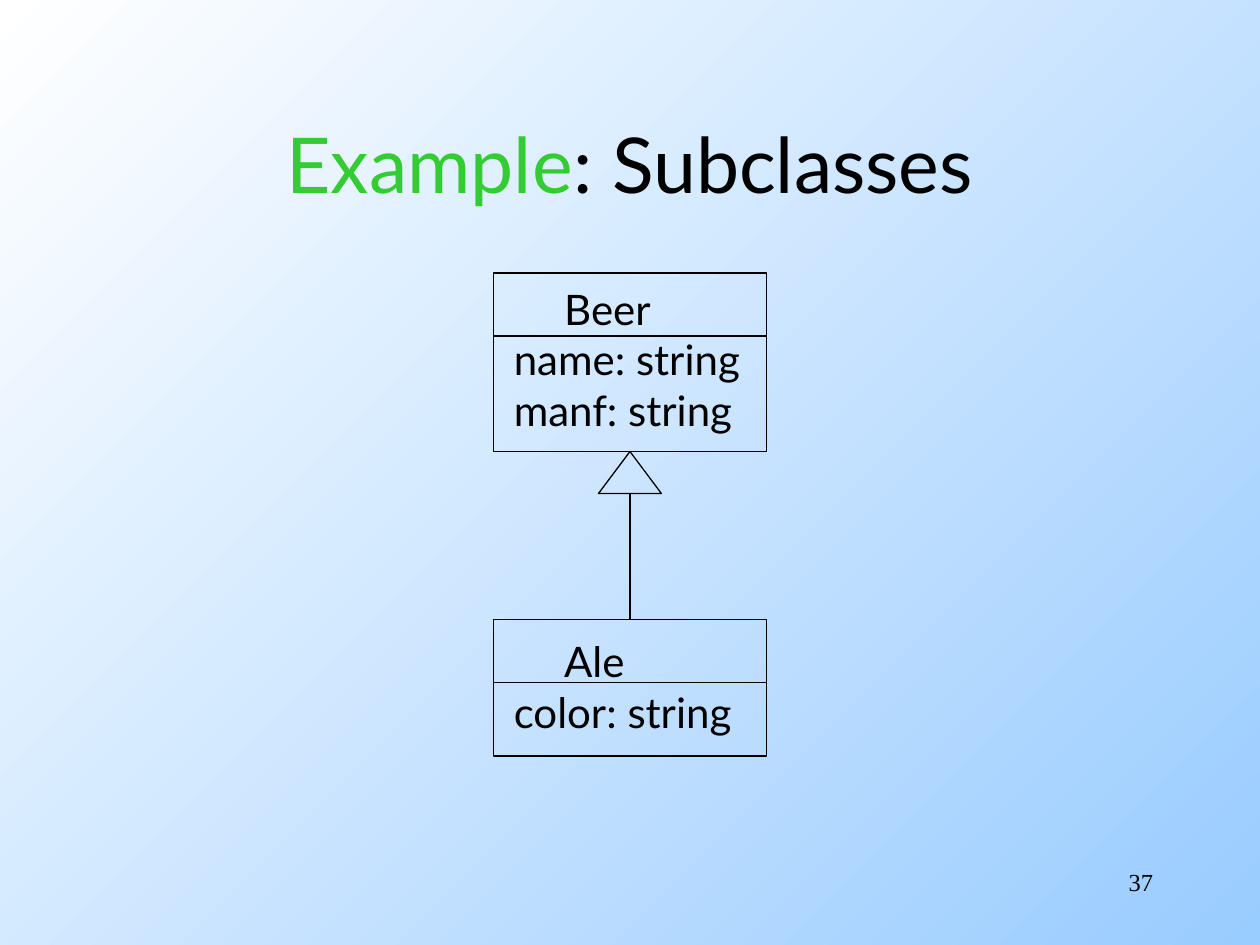
from pptx import Presentation
from pptx.dml.color import RGBColor
from pptx.enum.shapes import MSO_CONNECTOR, MSO_SHAPE
from pptx.enum.text import MSO_ANCHOR, PP_ALIGN
from pptx.oxml.ns import qn
from pptx.util import Inches, Pt
from lxml import etree

LEFT, CENTER, RIGHT = PP_ALIGN.LEFT, PP_ALIGN.CENTER, PP_ALIGN.RIGHT
TOP, MIDDLE = MSO_ANCHOR.TOP, MSO_ANCHOR.MIDDLE
RECTANGLE, TRIANGLE = MSO_SHAPE.RECTANGLE, MSO_SHAPE.ISOSCELES_TRIANGLE
STRAIGHT = MSO_CONNECTOR.STRAIGHT
BLACK, GREEN, WHITE, SKY = "000000", "33CC33", "FFFFFF", "99CCFF"


def color(value):
    return RGBColor.from_string(value)


def grid(*cells):
    return [Inches(cell / 12) for cell in cells]


def add_text(para, text, font="Lato", size=24, ink=BLACK, align=LEFT, indent=0, before=0):
    para.alignment = align
    para.space_before = Pt(before)
    para._p.get_or_add_pPr().set("marL", str(Inches(indent)))
    span = para.add_run()
    span.text = text
    span.font.name, span.font.size = font, Pt(size)
    span.font.color.rgb = color(ink)


class ClassDiagram:
    """Draws a class diagram on one slide, in a grid of twelve cells to the inch."""

    def __init__(self, deck):
        self.page = deck.slides.add_slide(deck.slide_layouts[6])
        self.ink, self.weight = BLACK, Pt(0.75)

    def background(self, start, end):
        fill = self.page.background.fill
        fill.gradient()
        fill.gradient_angle = 315
        for stop, value in zip(fill.gradient_stops, (start, end)):
            stop.color.rgb = color(value)

    def text(self, cells, anchor=TOP, wrap=True):
        frame = self.page.shapes.add_textbox(*grid(*cells)).text_frame
        frame.word_wrap, frame.vertical_anchor = wrap, anchor
        return frame

    def stroke(self, item):
        item.line.color.rgb = color(self.ink)
        item.line.width = self.weight

    def outline(self, kind, *cells):
        shape = self.page.shapes.add_shape(kind, *grid(*cells))
        shape.shadow.inherit = False
        shape.fill.background()
        self.stroke(shape)

    def line(self, *ends):
        connector = self.page.shapes.add_connector(STRAIGHT, *grid(*ends))
        self.stroke(connector)
        etree.SubElement(connector._element.spPr, qn("a:effectLst"))

    def class_box(self, left, top, width, height, header=6):
        self.outline(RECTANGLE, left, top, width, height)
        self.line(left, top + header, left + width, top + header)


deck = Presentation()
deck.slide_width, deck.slide_height = grid(120, 90)
diagram = ClassDiagram(deck)
diagram.background(WHITE, SKY)

number = diagram.text((86, 82, 25, 6))
add_text(number.paragraphs[0], "37", font="Times New Roman", size=14, align=RIGHT)

title = diagram.text((9, 8, 102, 15), anchor=MIDDLE).paragraphs[0]
for text, ink in (("Example", GREEN), (": Subclasses", BLACK)):
    add_text(title, text, size=44, ink=ink, align=CENTER)

members = diagram.text((47.75, 26.4, 24.8, 44.3), wrap=False)
for index, (text, style) in enumerate([
    ("Beer", {"indent": 0.4}),
    ("name: string", {}),
    ("manf: string", {}),
    ("Ale", {"indent": 0.4, "before": 115}),
    ("color: string", {}),
]):
    para = members.add_paragraph() if index else members.paragraphs[0]
    add_text(para, text, **style)

for top, height in ((26, 17), (59, 13)):
    diagram.class_box(47, top, 26, height)
diagram.outline(TRIANGLE, 57, 43, 6, 4)
diagram.line(60, 47, 60, 59)

deck.save("out.pptx")
